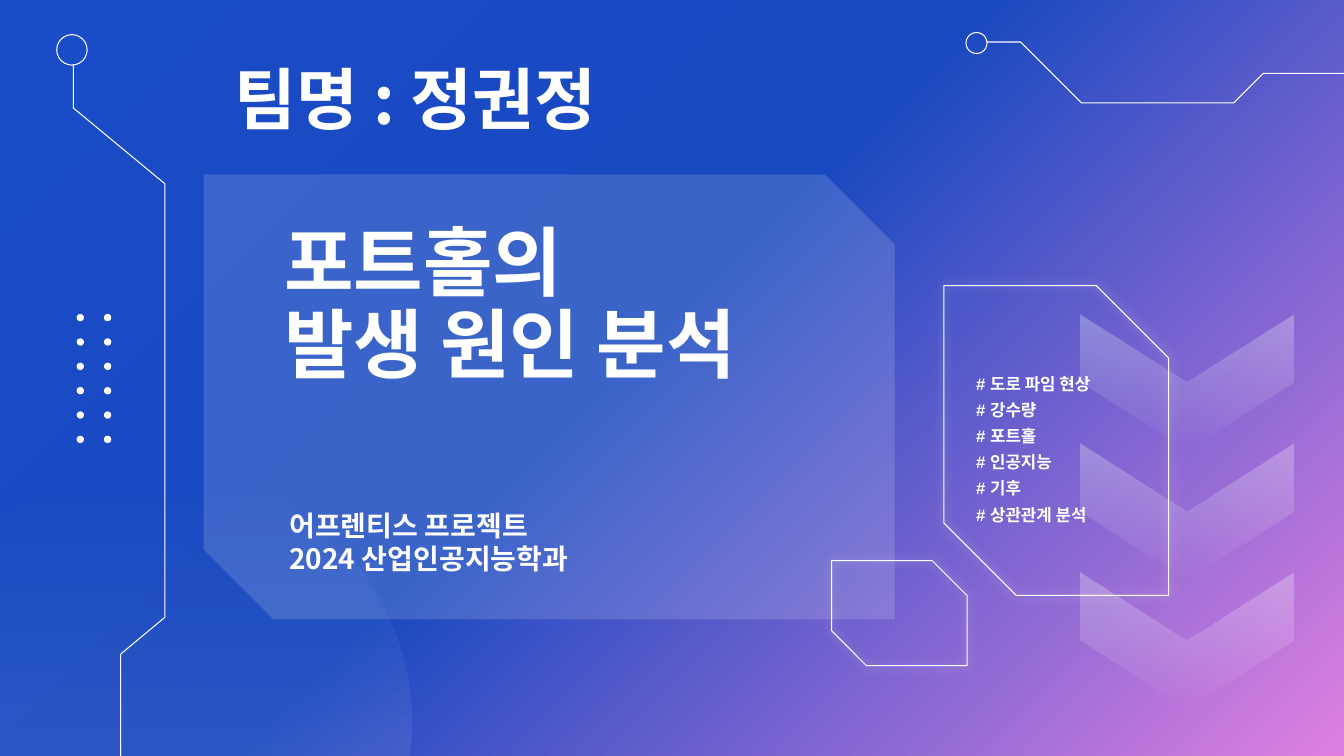
from dataclasses import dataclass
from lxml.etree import SubElement
from pptx import Presentation
from pptx.dml.color import RGBColor
from pptx.enum.shapes import MSO_SHAPE
from pptx.enum.text import MSO_ANCHOR, MSO_AUTO_SIZE, PP_ALIGN
from pptx.oxml import parse_xml
from pptx.oxml.ns import nsdecls, qn
from pptx.util import Pt

PX = 9525  # EMU per px


@dataclass(frozen=True)
class Theme:
    white: str = "FFFFFF"
    blue: str = "1A4CC8"
    deep_blue: str = "1949C0"
    pink: str = "DF80E1"
    korean: str = "Noto Sans CJK KR"
    latin: str = "Arial"
    title: int = 54
    team: int = 48
    subtitle: int = 20
    tag: int = 12
    hairline: float = 0.75


@dataclass(frozen=True)
class Box:
    x: float
    y: float
    w: int
    h: int

    def emu(self) -> list[int]:
        return [round(v * PX) for v in (self.x, self.y, self.w, self.h)]


@dataclass(frozen=True)
class Frame:
    box: Box
    snip: float


@dataclass(frozen=True)
class Trace:
    points: list[tuple[int, int]]
    ring: Box


T = Theme()
FRAMES = [Frame(Box(792, 534, 129, 100), 0.332), Frame(Box(899, 272, 214, 295), 0.322)]
TOP_TRACE = Trace([(1280, 70), (1203, 70), (1175, 98), (1030, 98), (972, 40), (940, 40)],
                  Box(920, 31, 20, 20))
LEFT_TRACE = Trace([(115, 720), (115, 623), (157, 588), (157, 175), (70, 103), (70, 61)],
                   Box(54, 33, 29, 29))


def gradient(stops: list[tuple[int, str, int]], shade: str):
    """Gradient from (position %, colour, opacity %) stops."""
    gs = "".join(f'<a:gs pos="{pos * 1000}"><a:srgbClr val="{c}"><a:alpha val="{a * 1000}"/>'
                 f'</a:srgbClr></a:gs>' for pos, c, a in stops)
    return parse_xml(f'<a:gradFill {nsdecls("a")} rotWithShape="1"><a:gsLst>{gs}</a:gsLst>'
                     f'{shade}</a:gradFill>')


def add_background(s) -> None:
    s.background.fill.solid()
    bg = s.background._cSld.bg.bgPr
    shade = '<a:path path="circle"><a:fillToRect r="100000" b="100000"/></a:path>'
    stops = [(0, T.blue, 100), (47, T.deep_blue, 100), (100, T.pink, 100)]
    bg.replace(bg.find(qn("a:solidFill")), gradient(stops, shade))


def add_filled(s, kind: MSO_SHAPE, box: Box, opacity: int = 100):
    sp = s.shapes.add_shape(kind, *box.emu())
    sp.shadow.inherit = False
    sp.line.fill.background()
    sp.fill.solid()
    sp.fill.fore_color.rgb = RGBColor.from_string(T.white)
    if opacity < 100:
        color = sp.fill._xPr.find(qn("a:solidFill"))[0]
        SubElement(color, qn("a:alpha"), val=str(opacity * 1000))
    return sp


def fade(sp, opacity: int, angle: int) -> None:
    pr = sp._element.spPr
    stops = [(0, T.white, opacity), (100, T.white, 0)]
    pr.replace(pr.find(qn("a:solidFill")),
               gradient(stops, f'<a:lin ang="{angle * 60000}" scaled="0"/>'))


def outline(sp) -> None:
    sp.shadow.inherit = False
    sp.fill.background()
    sp.line.color.rgb = RGBColor.from_string(T.white)
    sp.line.width = Pt(T.hairline)


def add_trace(s, trace: Trace) -> None:
    builder = s.shapes.build_freeform(*trace.points[0], scale=PX)
    builder.add_line_segments(trace.points[1:], close=False)
    outline(builder.convert_to_shape())
    outline(s.shapes.add_shape(MSO_SHAPE.OVAL, *trace.ring.emu()))


def add_frame(s, frame: Frame) -> None:
    sp = s.shapes.add_shape(MSO_SHAPE.SNIP_2_DIAG_RECTANGLE, *frame.box.emu())
    sp.adjustments[0], sp.adjustments[1] = 0, frame.snip
    outline(sp)
    effects = sp._element.spPr.find(qn("a:effectLst"))
    glow = SubElement(effects, qn("a:outerShdw"), blurRad="100330", dist="0", dir="0",
                      algn="ctr", rotWithShape="0")
    color = SubElement(glow, qn("a:srgbClr"), val=T.white)
    SubElement(color, qn("a:alpha"), val="70000")


def write(s, sp, box: Box, lines: list[str], size: int, font: str, spacing: float = 1.0) -> None:
    s.shapes._spTree.append(sp._element)  # bring to front
    sp.left, sp.top, sp.width, sp.height = box.emu()
    tf = sp.text_frame
    for name, value in {"word_wrap": True, "auto_size": MSO_AUTO_SIZE.NONE,
                        "vertical_anchor": MSO_ANCHOR.TOP}.items():
        setattr(tf, name, value)
    for i, line in enumerate(lines):
        p = tf.paragraphs[0] if i == 0 else tf.add_paragraph()
        p.text = line
        pr = p._p.get_or_add_pPr()
        pr.set("marL", "0")
        pr.set("indent", "0")
        SubElement(pr, qn("a:buNone"))
        for name, value in {"alignment": PP_ALIGN.LEFT, "line_spacing": spacing,
                            "space_before": Pt(0), "space_after": Pt(0)}.items():
            setattr(p, name, value)
        for r in p.runs:
            for name, value in {"size": Pt(size), "bold": True, "name": font}.items():
                setattr(r.font, name, value)
            r.font.color.rgb = RGBColor.from_string(T.white)
            SubElement(r._r.rPr, qn("a:ea"), typeface=T.korean)


def main() -> None:
    prs = Presentation()
    prs.slide_width, prs.slide_height = 1280 * PX, 720 * PX
    s = prs.slides.add_slide(prs.slide_layouts[3])
    title, subtitle, tags = s.placeholders
    add_background(s)

    # Title panel, chevrons and corner disc
    panel = add_filled(s, MSO_SHAPE.SNIP_2_DIAG_RECTANGLE, Box(194, 166, 658, 424), 15)
    panel.adjustments[0], panel.adjustments[1] = 0, 0.157
    for i in range(3):
        chevron = add_filled(s, MSO_SHAPE.CHEVRON, Box(1066, 509 - 123 * i, 129, 202))
        chevron.rotation = 90
        fade(chevron, 29, 0)
    disc = add_filled(s, MSO_SHAPE.OVAL, Box(-100, 443, 492, 492))
    fade(disc, 15, 270)

    # Circuit traces and dot grid
    add_trace(s, TOP_TRACE)
    add_trace(s, LEFT_TRACE)
    for col in range(2):
        for row in range(6):
            add_filled(s, MSO_SHAPE.OVAL, Box(73 + 26 * col, 299 + 116 * row / 5, 7, 7))

    # Texts and glowing frames
    write(s, title, Box(261, 210, 559, 232), ["포트홀의", "발생 원인 분석"], T.title, T.korean, 0.9)
    write(s, subtitle, Box(266, 479, 526, 74), ["어프렌티스 프로젝트", "2024 산업인공지능학과"],
          T.subtitle, T.korean)
    write(s, tags, Box(920, 345, 180, 158),
          ["# 도로 파임 현상\v# 강수량\v# 포트홀", "# 인공지능", "# 기후\v# 상관관계 분석"],
          T.tag, T.latin, 1.3)
    for frame in FRAMES:
        add_frame(s, frame)
    team = s.shapes.add_textbox(*Box(214, 50, 554, 87).emu())
    write(s, team, Box(214, 50, 554, 87), ["팀명 : 정권정"], T.team, T.korean)

    prs.save("out.pptx")


if __name__ == "__main__":
    main()
